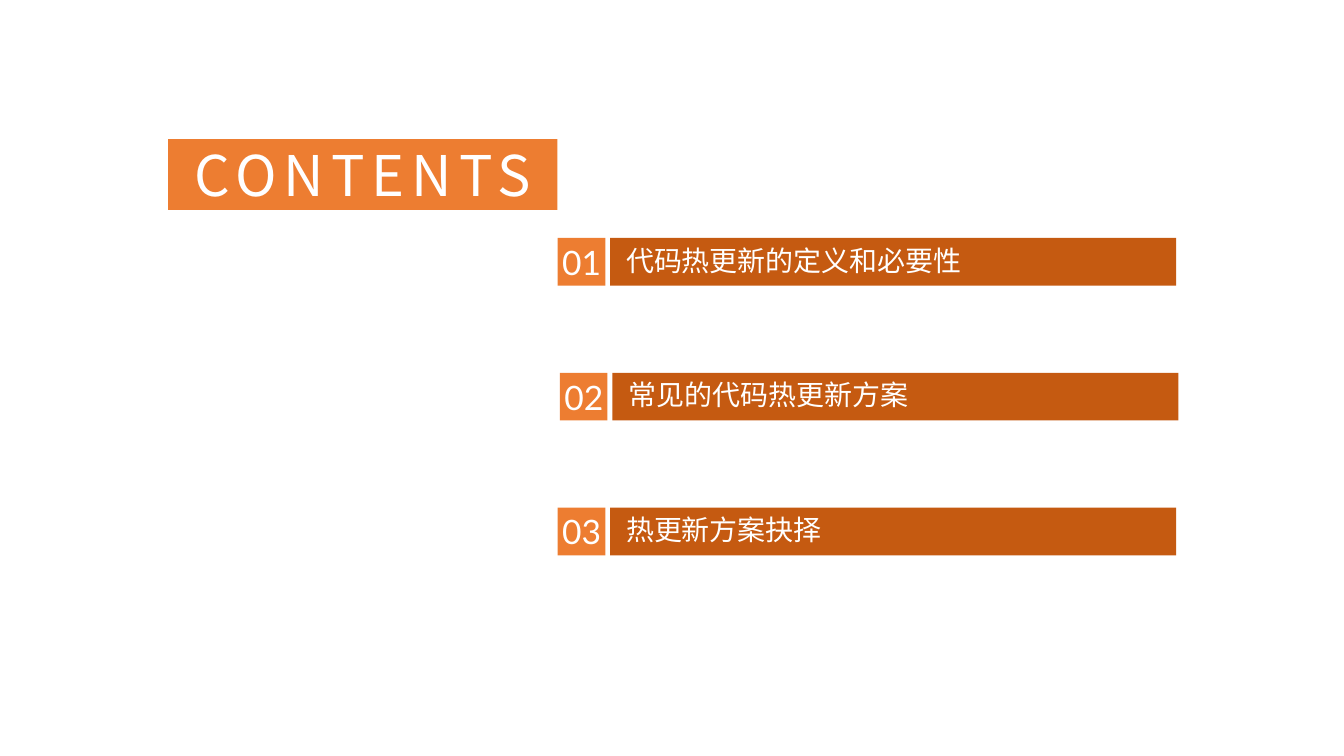
"""Builds a contents slide with a title banner and three numbered topics."""
from lxml.etree import SubElement
from pptx import Presentation
from pptx.dml.color import RGBColor
from pptx.enum.shapes import MSO_SHAPE
from pptx.enum.text import MSO_ANCHOR, MSO_AUTO_SIZE, PP_ALIGN
from pptx.oxml.ns import qn
from pptx.util import Pt

ORANGE = RGBColor(0xED, 0x7D, 0x31)
RUST = RGBColor(0xC5, 0x5A, 0x11)
WHITE = RGBColor(0xFF, 0xFF, 0xFF)

TOPICS = [
    ("代码热更新的定义和必要性", 0),
    ("常见的代码热更新方案", 1.2),
    ("热更新方案抉择", 0),
]
LIST_LEFT, LIST_TOP = 298.8, 127.5
ROW_PITCH, ROW_HEIGHT = 72.25, 25.5
BAR_OFFSET, BAR_WIDTH = 28.1, 303.2


class ContentsSlide:
    def __init__(self, deck):
        self.slide = deck.slides.add_slide(deck.slide_layouts[5])

    def fill_and_write(self, panel, text, fill, font_name, size, align, insets):
        panel.fill.solid()
        panel.fill.fore_color.rgb = fill
        frame = panel.text_frame
        frame.word_wrap = True
        frame.auto_size = MSO_AUTO_SIZE.NONE
        frame.vertical_anchor = MSO_ANCHOR.MIDDLE
        (frame.margin_left, frame.margin_top,
         frame.margin_right, frame.margin_bottom) = map(Pt, insets)
        frame.text = text
        paragraph = frame.paragraphs[0]
        paragraph.alignment = align
        paragraph.font.size = Pt(size)
        paragraph.font.color.rgb = WHITE
        paragraph.font.name = font_name
        properties = paragraph._p.pPr.find(qn("a:defRPr"))
        SubElement(properties, qn("a:ea")).set("typeface", font_name)
        return properties

    def banner(self, text, left, top, width, height):
        title = self.slide.shapes.title
        title.left, title.top = Pt(left), Pt(top)
        title.width, title.height = Pt(width), Pt(height)
        properties = self.fill_and_write(
            title, text, ORANGE, "Noto Sans CJK JP", 30,
            PP_ALIGN.CENTER, (5, 3, 5, 3))
        properties.set("spc", "380")

    def block(self, left, top, width, height):
        panel = self.slide.shapes.add_shape(
            MSO_SHAPE.RECTANGLE, Pt(left), Pt(top), Pt(width), Pt(height))
        panel.shadow.inherit = False
        panel.line.fill.background()
        return panel

    def topic(self, number, text, left, top):
        badge = self.block(left, top, ROW_HEIGHT, ROW_HEIGHT)
        self.fill_and_write(badge, f"{number:02}", ORANGE, "Lato", 18,
                            PP_ALIGN.CENTER, (0, 0, 0, 0))
        bar = self.block(left + BAR_OFFSET, top, BAR_WIDTH, ROW_HEIGHT)
        self.fill_and_write(bar, text, RUST, "Noto Sans CJK SC", 15,
                            PP_ALIGN.LEFT, (8.5, 0, 0, 2))


def main():
    deck = Presentation()
    deck.slide_width, deck.slide_height = Pt(720), Pt(405)
    contents = ContentsSlide(deck)
    contents.banner("CONTENTS", 90, 74.5, 208.6, 38)
    for index, (text, shift) in enumerate(TOPICS):
        contents.topic(index + 1, text, LIST_LEFT + shift,
                       LIST_TOP + index * ROW_PITCH)
    deck.save("out.pptx")


if __name__ == "__main__":
    main()
